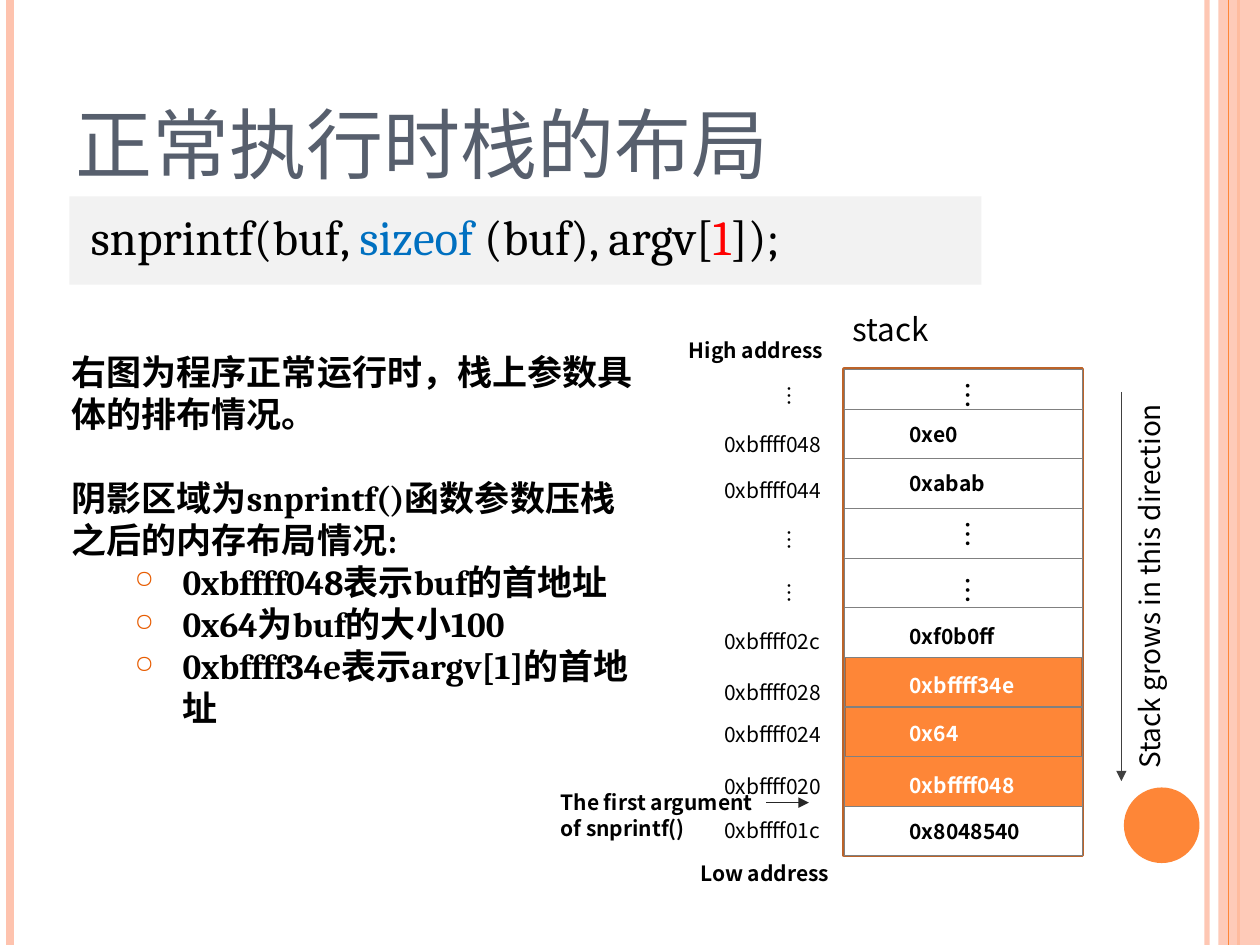
from lxml import etree
from pptx import Presentation
from pptx.dml.color import RGBColor
from pptx.enum.shapes import MSO_CONNECTOR, MSO_SHAPE
from pptx.enum.text import MSO_ANCHOR
from pptx.oxml.ns import qn
from pptx.util import Inches, Pt

SANS, SERIF = "Noto Sans CJK SC", "Cambria"
BLACK = RGBColor(0x00, 0x00, 0x00)
WHITE = RGBColor(0xFF, 0xFF, 0xFF)
ORANGE = RGBColor(0xFE, 0x86, 0x37)
PEACH = RGBColor(0xFE, 0xC3, 0xAE)
BROWN = RGBColor(0xBC, 0x63, 0x29)
BULLET = RGBColor(0xE7, 0x5C, 0x01)
PALE = RGBColor(0xF2, 0xF2, 0xF2)
GRAY = RGBColor(0x80, 0x80, 0x80)
DARK = RGBColor(0x40, 0x40, 0x40)
INK = RGBColor(0x26, 0x26, 0x26)
SLATE = RGBColor(0x57, 0x5F, 0x6D)
BLUE = RGBColor(0x00, 0x70, 0xC0)
RED = RGBColor(0xFF, 0x00, 0x00)

DOTS = "…"
ROW_H, FIRST_H = 0.394, 0.315
# address, its offset in the row, value, its offset in the row, row fill, text colour
# (a row without fill shows the orange block behind it)
ROWS = [
    (DOTS, 0.03, DOTS, 0, WHITE, BLACK),
    ("0xbffff048", 0.13, "0xe0", 0.05, WHITE, BLACK),
    ("0xbffff044", 0.10, "0xabab", 0.05, WHITE, BLACK),
    (DOTS, 0.07, DOTS, 0, WHITE, BLACK),
    (DOTS, 0.10, DOTS, 0.05, WHITE, BLACK),
    ("0xbffff02c", 0.12, "0xf0b0ff", 0.08, WHITE, BLACK),
    ("0xbffff028", 0.13, "0xbffff34e", 0.07, None, WHITE),
    ("0xbffff024", 0.07, "0x64", 0.06, None, WHITE),
    ("0xbffff020", 0.09, "0xbffff048", 0.08, ORANGE, WHITE),
    ("0xbffff01c", 0.04, "0x8048540", 0.05, WHITE, BLACK),
]


def set_alpha(fill_element, percent):
    color = fill_element.find(".//" + qn("a:srgbClr"))
    etree.SubElement(color, qn("a:alpha"), val=str(percent * 1000))


def add_box(slide, x, y, w, h, fill, line=None, width=0.25, shape=MSO_SHAPE.RECTANGLE):
    sp = slide.shapes.add_shape(shape, Inches(x), Inches(y), Inches(w), Inches(h))
    sp.shadow.inherit = False
    if fill is None:
        sp.fill.background()
    else:
        sp.fill.solid()
        sp.fill.fore_color.rgb = fill
    if line is None:
        sp.line.fill.background()
    else:
        sp.line.color.rgb = line
        sp.line.width = Pt(width)
    return sp


def add_line(slide, x1, y1, x2, y2, color, width, arrow=False):
    ln = slide.shapes.add_connector(
        MSO_CONNECTOR.STRAIGHT, Inches(x1), Inches(y1), Inches(x2), Inches(y2))
    ln.line.color.rgb = color
    ln.line.width = Pt(width)
    if arrow:
        etree.SubElement(ln.line._get_or_add_ln(), qn("a:tailEnd"), type="triangle")
    etree.SubElement(ln._element.spPr, qn("a:effectLst"))
    return ln


def add_text(slide, x, y, w, h, lines, size, font=SANS, color=BLACK, bold=False, vert=None):
    tb = slide.shapes.add_textbox(Inches(x), Inches(y), Inches(w), Inches(h))
    tf = tb.text_frame
    tf.word_wrap = True
    if vert:
        tf._txBody.bodyPr.set("vert", vert)
    for i, text in enumerate(lines):
        p = tf.paragraphs[0] if i == 0 else tf.add_paragraph()
        p.text = text
        p.font.size, p.font.name, p.font.bold = Pt(size), font, bold
        p.font.color.rgb = color
    return tf


def add_bullet(p):
    pPr = p._p.get_or_add_pPr()
    pPr.set("marL", str(Inches(0.88)))
    pPr.set("indent", str(Inches(-0.38)))
    bullet = [etree.Element(qn("a:buClr")),
              etree.Element(qn("a:buSzPct"), val="70000"),
              etree.Element(qn("a:buChar"), char="○")]
    etree.SubElement(bullet[0], qn("a:srgbClr"), val=str(BULLET))
    for i, element in enumerate(bullet):
        pPr.insert(i, element)


def add_frame(slide, w, h):
    """Stripes along both edges and the round badge."""
    stripe = add_line(slide, w - 0.42, 0, w - 0.42, h, PEACH, 3)
    set_alpha(stripe._element.spPr, 93)
    add_line(slide, 0.08, 0, 0.08, h, PEACH, 4.5)
    add_line(slide, w - 0.17, 0, w - 0.17, h, ORANGE, 1.5)
    band = add_box(slide, w - 0.33, 0, 0.33, h, PEACH)
    set_alpha(band._element.spPr, 87)
    add_line(slide, w - 0.25, 0, w - 0.25, h, ORANGE, 0.75)
    add_box(slide, w - 1.08, h - 1.25, 0.6, 0.6, ORANGE, shape=MSO_SHAPE.OVAL)


def add_code(slide, x, y, w, h):
    add_box(slide, x, y, w, h, PALE)
    tf = add_text(slide, x + 0.07, y + 0.03, w - 0.89, 0.57, [""], 28, SERIF)
    tf.word_wrap = False
    for text, color in [("snprintf(buf, ", BLACK), ("sizeof", BLUE),
                        (" (buf), argv[", BLACK), ("1", RED), ("]);", BLACK)]:
        r = tf.paragraphs[0].add_run()
        r.text = text
        r.font.color.rgb = color


def add_explanation(slide, x, y, w, h):
    lines = ["右图为程序正常运行时，栈上参数具体的排布情况。",
             "阴影区域为snprintf()函数参数压栈之后的内存布局情况:",
             "0xbffff048表示buf的首地址",
             "0x64为buf的大小100",
             "0xbffff34e表示argv[1]的首地址"]
    tf = add_text(slide, x, y, w, h, lines, 20, SERIF, bold=True)
    tf.paragraphs[1].space_before = Pt(24)
    for p in tf.paragraphs[2:]:
        add_bullet(p)


def add_stack(slide, x, y, w, h):
    # Block behind the rows
    add_box(slide, x, y, w, h, ORANGE, BROWN, 2)

    # Rows with addresses and values
    for i, (address, a_off, value, v_off, fill, color) in enumerate(ROWS):
        top = y if i == 0 else y + FIRST_H + (i - 1) * ROW_H
        add_box(slide, x, top, w, ROW_H if i else FIRST_H, fill, GRAY)
        if address == DOTS:
            add_text(slide, x - 0.68, top + a_off, 0.4, 0.3, [DOTS], 12, vert="eaVert")
        else:
            add_text(slide, x - 1.05, top + a_off, 1.16, 0.3, [address], 12)
        if value == DOTS:
            add_text(slide, x + 0.7, top + v_off, 0.47, 0.39, [DOTS], 16, vert="eaVert")
        else:
            add_text(slide, x + 0.42, top + v_off, 1.58, 0.3, [value], 12,
                     color=color, bold=True)

    # Captions
    add_text(slide, x - 0.03, y - 0.52, 0.91, 0.4, ["stack"], 18)
    add_text(slide, x - 1.33, y - 0.3, 1.66, 0.3, ["High address"], 12, bold=True)
    add_text(slide, x - 1.24, y + 3.85, 1.66, 0.3, ["Low address"], 12, bold=True)

    # Direction of growth
    add_line(slide, x + 2.2, y + 0.18, x + 2.2, y + 3.27, DARK, 1, arrow=True)
    add_text(slide, x + 2.24, y - 0.29, 0.47, 3.56, ["Stack grows in this direction"],
             16, vert="vert270")

    # Pointer to the first argument
    add_line(slide, x - 0.62, y + 3.44, x - 0.28, y + 3.44, INK, 1, arrow=True)
    add_text(slide, x - 2.35, y + 3.29, 2.29, 0.5,
             ["The first argument", "of snprintf()"], 12, bold=True)


def main():
    prs = Presentation()
    prs.slide_width, prs.slide_height = Inches(10), Inches(7.5)
    slide = prs.slides.add_slide(prs.slide_layouts[6])
    add_frame(slide, 10, 7.5)
    title = add_text(slide, 0.5, 0.3, 8.17, 1.25, ["正常执行时栈的布局"], 44, SERIF, SLATE)
    title.vertical_anchor = MSO_ANCHOR.BOTTOM
    add_code(slide, 0.55, 1.56, 7.24, 0.7)
    add_explanation(slide, 0.47, 2.73, 4.68, 3.47)
    add_stack(slide, 6.7, 2.93, 1.89, 3.86)
    prs.save("out.pptx")


if __name__ == "__main__":
    main()
